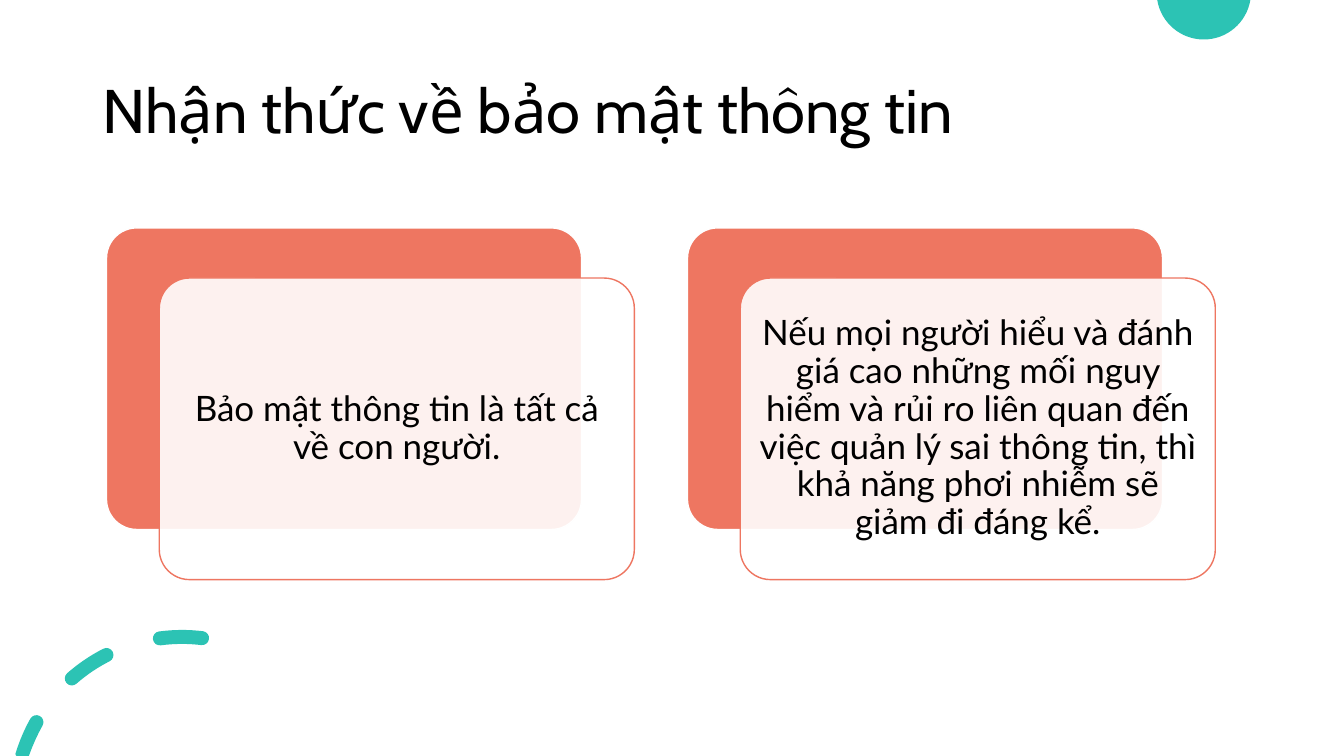
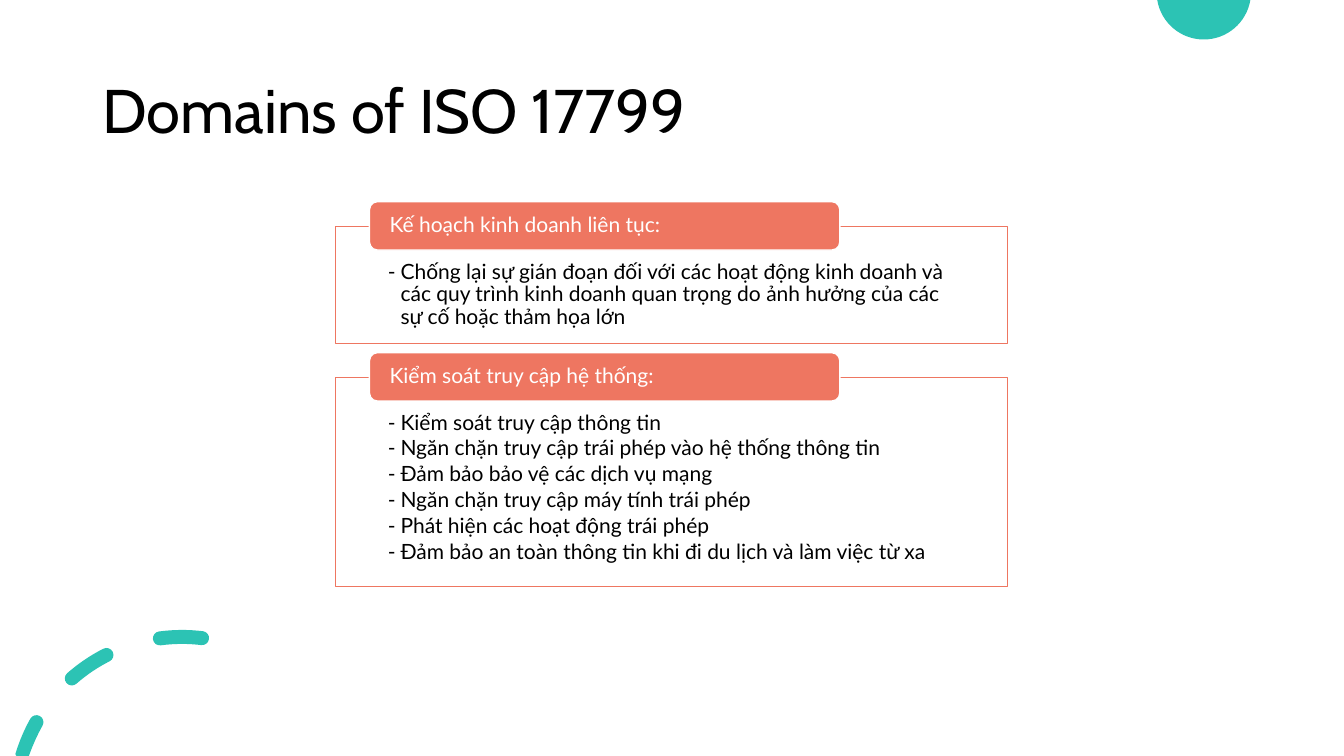
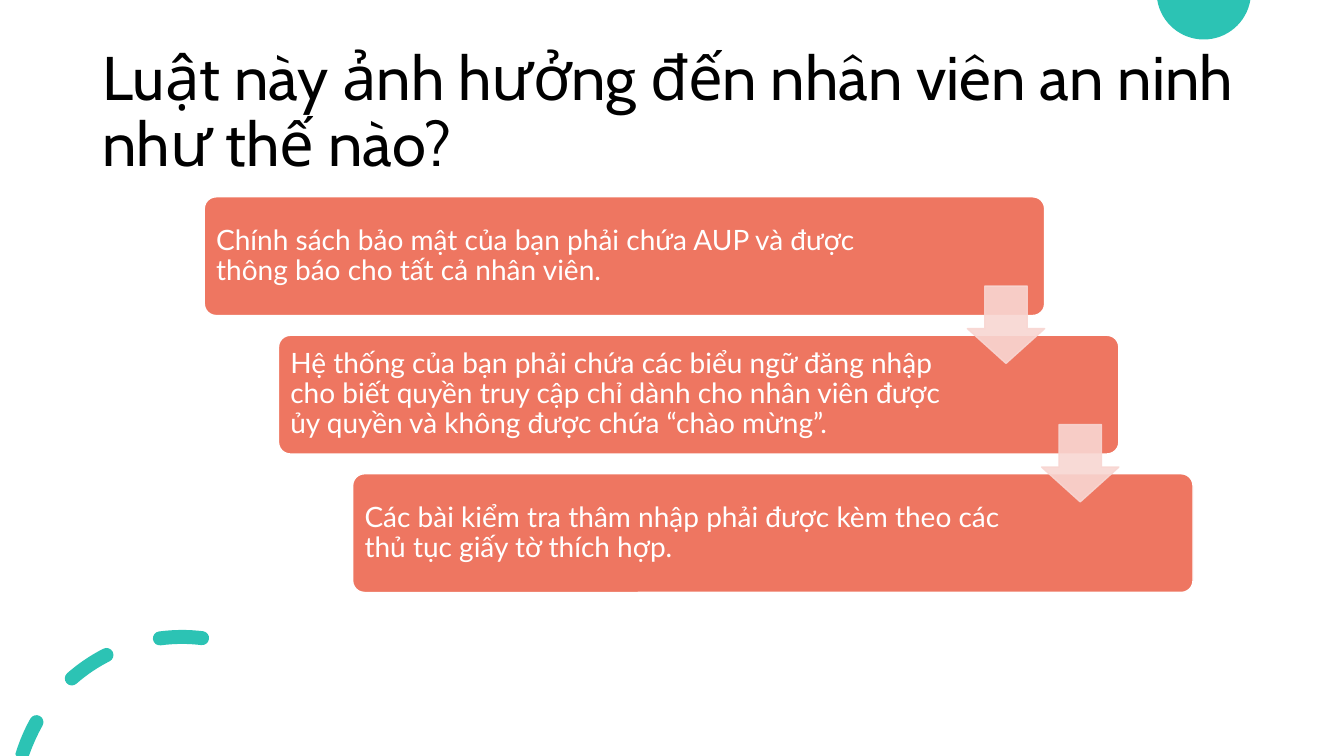
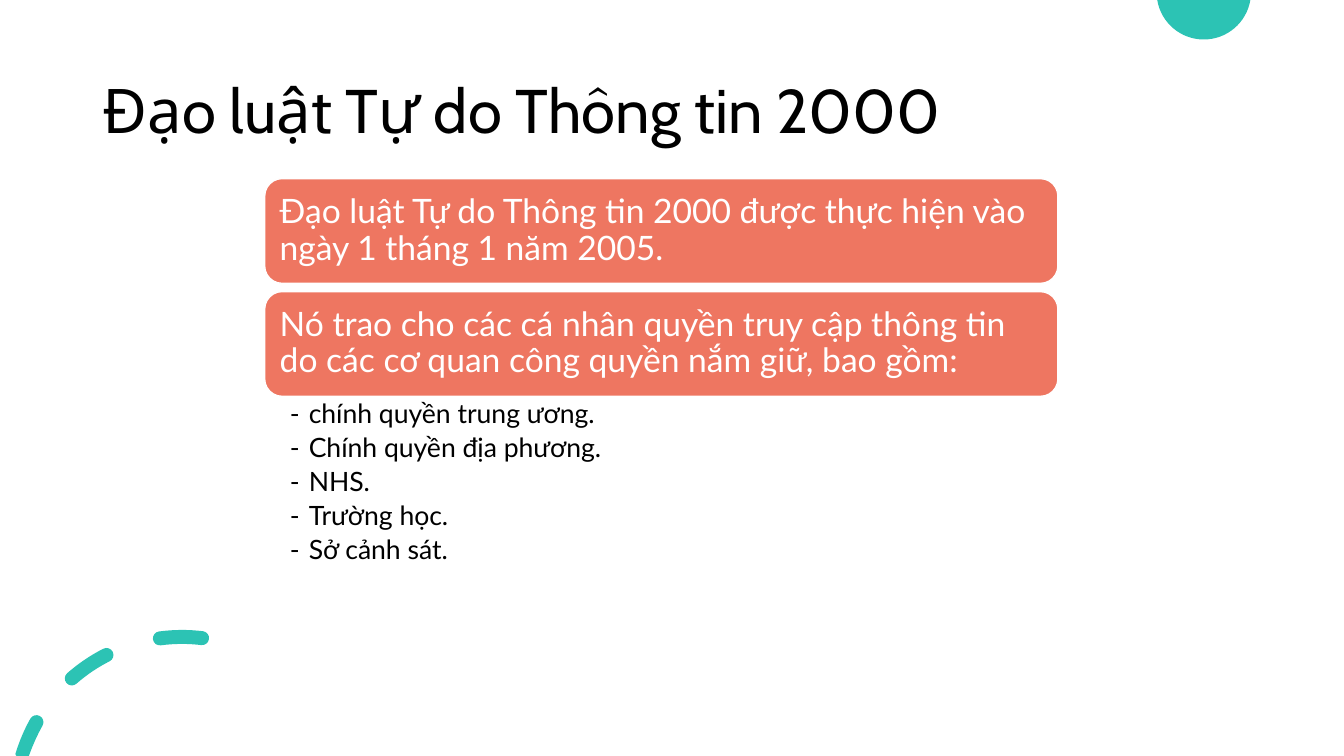
import math

from lxml import etree
from pptx import Presentation
from pptx.dml.color import RGBColor
from pptx.enum import shapes, text
from pptx.oxml.ns import qn
from pptx.util import Pt

CORAL, TEAL, BLUSH = "EE7661", "2CC3B4", "F8D6D2"
WHITE, BLACK = "FFFFFF", "000000"
color = RGBColor.from_string
ROUNDED = shapes.MSO_SHAPE.ROUNDED_RECTANGLE


def draw(page, kind, bounds, fill, line, opacity=100, corner=None):
    """Add a preset shape with a solid fill and a thin outline."""
    shape = page.shapes.add_shape(kind, *[Pt(value) for value in bounds])
    shape.shadow.inherit = False
    shape.fill.solid()
    shape.fill.fore_color.rgb = color(fill)
    shape.line.color.rgb = color(line)
    shape.line.width = Pt(1)
    if corner is not None:
        shape.adjustments[0] = corner
    if opacity < 100:
        solids = [shape.element.spPr.find(qn("a:solidFill"))]
        if line == fill:
            solids.append(shape.element.spPr.find(qn("a:ln")).find(qn("a:solidFill")))
        for solid in solids:
            etree.SubElement(solid[0], qn("a:alpha"), val=str(opacity * 1000))
    return shape


def write(shape, lines, size, ink, insets, align=text.PP_ALIGN.LEFT,
          anchor=text.MSO_ANCHOR.MIDDLE, indent=0, gap=0, face="Lato"):
    """Fill a shape with paragraphs; an indent gives them a dash bullet."""
    frame = shape.text_frame
    frame.word_wrap = True
    frame.auto_size = text.MSO_AUTO_SIZE.NONE
    frame.vertical_anchor = anchor
    (frame.margin_left, frame.margin_top,
     frame.margin_right, frame.margin_bottom) = [Pt(value) for value in insets]
    frame.text = "\n".join(lines)
    for para in frame.paragraphs:
        para.alignment = align
        para.line_spacing = 0.9
        para.space_before = Pt(0)
        para.space_after = Pt(gap)
        if indent:
            props = para._p.get_or_add_pPr()
            props.set("marL", str(Pt(indent)))
            props.set("indent", str(-Pt(indent)))
            etree.SubElement(props, qn("a:buFont"), typeface=face)
            etree.SubElement(props, qn("a:buChar"), char="-")
        para.font.name = face
        para.font.size = Pt(size)
        para.font.color.rgb = color(ink)


deck = Presentation()
deck.slide_width, deck.slide_height = Pt(960), Pt(540)
layout = deck.slide_layouts[5]

# Slides and their titles
titles = [
    "Nhận thức về bảo mật thông tin",
    "Domains of ISO 17799",
    "Luật này ảnh hưởng đến nhân viên an ninh như thế nào?",
    "Đạo luật Tự do Thông tin 2000",
]
pages = []
for wording in titles:
    page = deck.slides.add_slide(layout)
    title = page.shapes.title
    title.left, title.top, title.width, title.height = Pt(66), Pt(28.8), Pt(828), Pt(104.4)
    write(title, [wording], 44, BLACK, (7.2, 3.6, 7.2, 3.6), face="Cabin")
    pages.append(page)
awareness, domains, staff, freedom = pages

# Shared decoration: arcs are (centre x, centre y, radius, from, to),
# with angles in degrees clockwise from the top
disc = [(859.9, -5.5, 33.7, 99.4, 180), (859.9, -5.5, 33.7, 180, 260.6)]
dashes = []
ring_x, ring_y, ring, half = 130, 574.2, 119.2, 5
for start, end in [(-73.3, -60.7), (-41.3, -26.9), (-7.6, 6.9)]:
    tips = [(ring_x + ring * math.sin(math.radians(angle)),
             ring_y - ring * math.cos(math.radians(angle))) for angle in (start, end)]
    dashes.append([
        (ring_x, ring_y, ring + half, start, end),
        (*tips[1], half, end, end + 90),
        (*tips[1], half, end + 90, end + 180),
        (ring_x, ring_y, ring - half, end, start),
        (*tips[0], half, start + 180, start + 270),
        (*tips[0], half, start + 270, start + 360),
    ])

for contours in ([disc], dashes):
    builder = None
    for arcs in contours:
        points = []
        for x, y, radius, start, end in arcs:
            first, last = math.radians(start), math.radians(end)
            reach = 4 / 3 * math.tan((last - first) / 4)
            # Each arc is one curve: start, two handles, end
            for angle, pull in [(first, 0), (first, reach), (last, -reach), (last, 0)]:
                across = x + radius * (math.sin(angle) + pull * math.cos(angle))
                down = y - radius * (math.cos(angle) - pull * math.sin(angle))
                points.append((across * 100, min(max(down, 0), 540) * 100))
        # Every arc begins where the one before it ended
        points = points[:1] + [point for index, point in enumerate(points) if index % 4]
        if builder is None:
            builder = awareness.shapes.build_freeform(*points[0], scale=Pt(0.01))
        else:
            builder.move_to(*points[0])
        builder.add_line_segments(points[1:], close=True)
    ornament = builder.convert_to_shape()
    ornament.shadow.inherit = False
    ornament.fill.solid()
    ornament.fill.fore_color.rgb = color(TEAL)
    ornament.line.fill.background()
    # Join each three segments into a curve
    segments = list(ornament.element.iter(qn("a:lnTo")))
    for index in range(0, len(segments), 3):
        curve = etree.Element(qn("a:cubicBezTo"))
        segments[index].addprevious(curve)
        for segment in segments[index:index + 3]:
            curve.append(segment[0])
            segment.getparent().remove(segment)
    layout.shapes.element.append(ornament.element)

# Slide 1: two layered cards
cards = [
    "Bảo mật thông tin là tất cả về con người.",
    "Nếu mọi người hiểu và đánh giá cao những mối nguy hiểm và rủi ro liên quan "
    "đến việc quản lý sai thông tin, thì khả năng phơi nhiễm sẽ giảm đi đáng kể.",
]
for index, wording in enumerate(cards):
    left, top, width, height = 76.1 + 415 * index, 162.8, 339.3, 215.4
    draw(awareness, ROUNDED, (left, top, width, height), CORAL, WHITE, corner=0.1)
    card = draw(awareness, ROUNDED, (left + 37.7, top + 35.8, width, height),
                WHITE, CORAL, opacity=90, corner=0.1)
    write(card, [wording], 25, BLACK, (7.2,) * 4, align=text.PP_ALIGN.CENTER)

# Slide 2: panels with a heading tab on the top edge
panels = [
    (144, 83.5, "Kế hoạch kinh doanh liên tục:", [
        "Chống lại sự gián đoạn đối với các hoạt động kinh doanh và các quy trình "
        "kinh doanh quan trọng do ảnh hưởng của các sự cố hoặc thảm họa lớn",
    ]),
    (251.9, 149, "Kiểm soát truy cập hệ thống:", [
        "Kiểm soát truy cập thông tin",
        "Ngăn chặn truy cập trái phép vào hệ thống thông tin",
        "Đảm bảo bảo vệ các dịch vụ mạng",
        "Ngăn chặn truy cập máy tính trái phép",
        "Phát hiện các hoạt động trái phép",
        "Đảm bảo an toàn thông tin khi đi du lịch và làm việc từ xa",
    ]),
]
for top, height, heading, items in panels:
    panel = draw(domains, shapes.MSO_SHAPE.RECTANGLE, (239.8, top + 17.9, 480, height),
                 WHITE, CORAL, opacity=90)
    write(panel, items, 15, BLACK, (37.3, 24.5, 37.3, 8.6),
          anchor=text.MSO_ANCHOR.TOP, indent=9, gap=2.25)
    tab = draw(domains, ROUNDED, (263.9, top, 336, 34.6), CORAL, WHITE)
    write(tab, [heading], 15, WHITE, (12.7, 0, 12.7, 0))

# Slide 3: descending steps, then the arrows between them
steps = [
    (93, "Chính sách bảo mật của bạn phải chứa AUP và được thông báo cho tất cả nhân viên."),
    (114, "Hệ thống của bạn phải chứa các biểu ngữ đăng nhập cho biết quyền truy cập chỉ "
          "dành cho nhân viên được ủy quyền và không được chứa “chào mừng”."),
    (114, "Các bài kiểm tra thâm nhập phải được kèm theo các thủ tục giấy tờ thích hợp."),
]
STEP_X, STEP_Y = 53, 98.9
for index, (right, wording) in enumerate(steps):
    bounds = (145.9 + STEP_X * index, 140.6 + STEP_Y * index, 600.3, 84.8)
    box = draw(staff, ROUNDED, bounds, CORAL, WHITE, corner=0.1)
    write(box, [wording], 20, WHITE, (6, 6, right, 6))
for index in range(len(steps) - 1):
    bounds = (691 + STEP_X * index, 204.4 + STEP_Y * index, 55.2, 55.2)
    arrow = draw(staff, shapes.MSO_SHAPE.DOWN_ARROW, bounds, BLUSH, BLUSH,
                 opacity=90, corner=0.55)
    arrow.adjustments[1] = 0.45

# Slide 4: two statements and a list
statements = [
    "Đạo luật Tự do Thông tin 2000 được thực hiện vào ngày 1 tháng 1 năm 2005.",
    "Nó trao cho các cá nhân quyền truy cập thông tin do các cơ quan công quyền "
    "nắm giữ, bao gồm:",
]
for index, wording in enumerate(statements):
    box = draw(freedom, ROUNDED, (189.1, 127.6 + 80.7 * index, 566.6, 74.8), CORAL, WHITE)
    write(box, [wording], 24, WHITE, (7.2,) * 4)
bodies = freedom.shapes.add_textbox(Pt(189.1), Pt(283.9), Pt(566.6), Pt(129))
write(bodies, ["chính quyền trung ương.", "Chính quyền địa phương.", "NHS.",
               "Trường học.", "Sở cảnh sát."],
      19, BLACK, (18, 2.2, 13.5, 2.2), anchor=text.MSO_ANCHOR.TOP, indent=13.5, gap=3.8)

deck.save("out.pptx")
